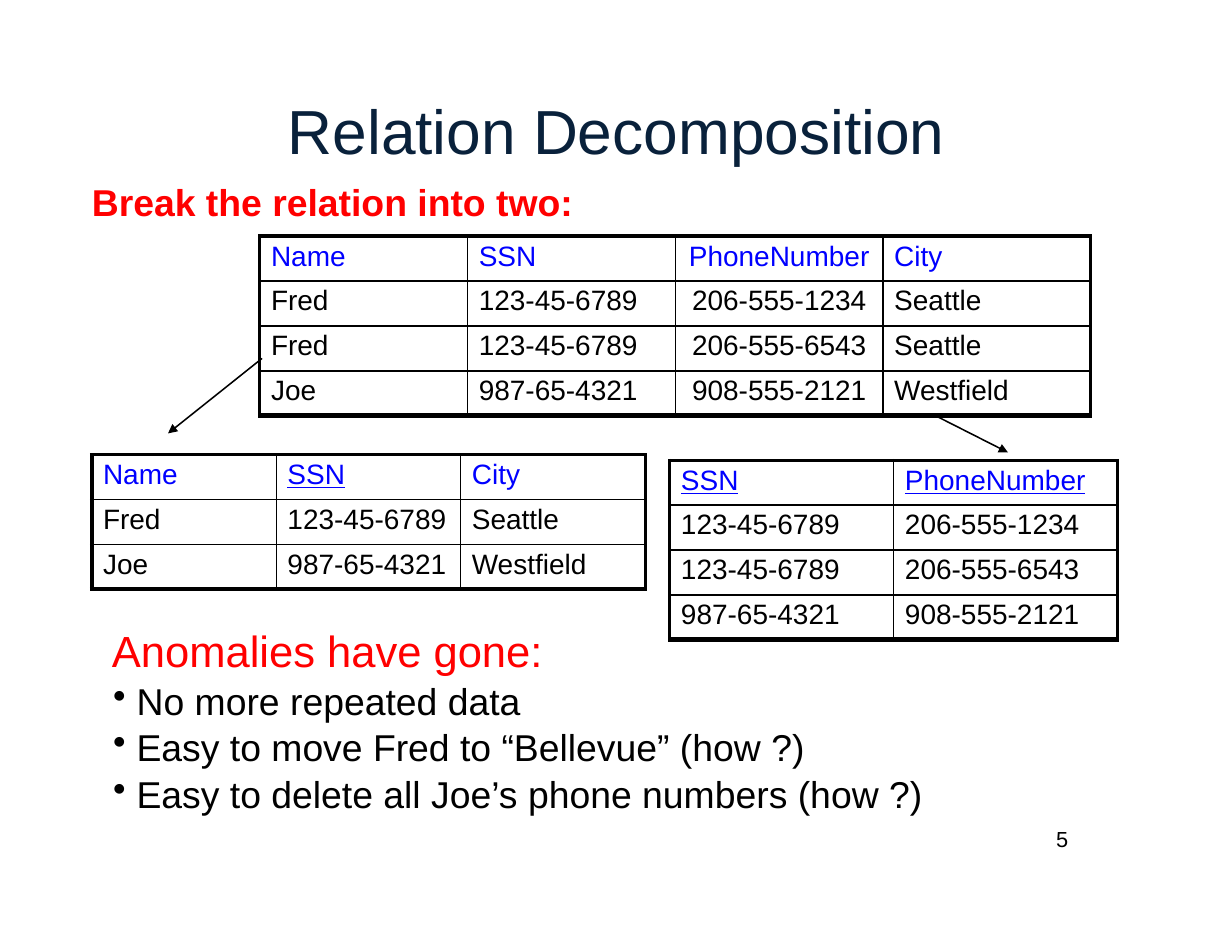
from dataclasses import dataclass

from lxml import etree
from pptx import Presentation
from pptx.dml.color import RGBColor
from pptx.enum import shapes, text
from pptx.oxml import ns
from pptx.util import Inches, Pt


@dataclass(frozen=True)
class Theme:
    font: str = "Arial"
    navy: str = "09213B"
    red: str = "FF0000"
    blue: str = "0000FF"
    black: str = "000000"
    title: int = 40
    heading: int = 28
    body: int = 24
    cell: int = 18
    number: int = 14


theme = Theme()


def format_paragraph(paragraph, size, color, bold=False, underline=False):
    for run in paragraph.runs:
        run.font.name = theme.font
        run.font.size = Pt(size)
        run.font.color.rgb = RGBColor.from_string(color)
        run.font.bold = bold
        run.font.underline = underline


def add_text(left, top, width, height, top_inset, content):
    box = slide.shapes.add_textbox(Inches(left), Inches(top), Inches(width), Inches(height))
    frame = box.text_frame
    frame.word_wrap = True
    frame.margin_left = frame.margin_right = frame.margin_bottom = 0
    frame.margin_top = Inches(top_inset)
    frame.text = content
    return frame.paragraphs


presentation = Presentation()
presentation.slide_width = Inches(11)
presentation.slide_height = Inches(8.5)
slide = presentation.slides.add_slide(presentation.slide_layouts[6])

# Title and subtitle
title, subtitle = add_text(0.82, 0.56, 7.63, 1.39, 0.26,
                           "Relation Decomposition\nBreak the relation into two:")
title._p.get_or_add_pPr().set("marL", str(Inches(1.75)))
format_paragraph(title, theme.title, theme.navy)
subtitle.space_before = Pt(8.1)
format_paragraph(subtitle, theme.body, theme.red, bold=True)

# Relations: the two parts, then the whole.
# Line weights run left to right (vertical) and top to bottom (horizontal).
people = [["Name", "SSN", "PhoneNumber", "City"],
          ["Fred", "123-45-6789", "206-555-1234", "Seattle"],
          ["Fred", "123-45-6789", "206-555-6543", "Seattle"],
          ["Joe", "987-65-4321", "908-555-2121", "Westfield"]]
residents = [[people[row][column] for column in (0, 1, 3)] for row in (0, 1, 3)]
phones = [row[1:3] for row in people]
relations = [
    (residents, 0.82, 4.06, 4.94, ["SSN"], [3, 1, 1, 2.25], [2.25, 1, 1, 3]),
    (phones, 5.98, 4.11, 4, ["SSN", "PhoneNumber"], [2.25, 1, 2.25], [2.25, 1, 1, 1.5, 3]),
    (people, 2.32, 2.11, 7.42, [], [2.25, 1, 1, 1, 2.25], [3, 1.5, 1.5, 1.5, 3]),
]
row_height = 0.4
for rows, left, top, width, keys, vertical, horizontal in relations:
    table = slide.shapes.add_table(
        len(rows), len(rows[0]), Inches(left), Inches(top),
        Inches(width), Inches(row_height * len(rows))).table
    table.first_row = table.horz_banding = False
    for r, row in enumerate(rows):
        for c, value in enumerate(row):
            cell = table.cell(r, c)
            cell.margin_left = cell.margin_right = cell.margin_bottom = 0
            cell.margin_top = Inches(0.04)
            cell.text_frame.text = value
            paragraph = cell.text_frame.paragraphs[0]
            if rows is people and c == 2:
                paragraph.alignment = text.PP_ALIGN.CENTER
            else:
                paragraph._p.get_or_add_pPr().set("marL", str(Inches(0.1)))
            format_paragraph(paragraph, theme.cell, theme.black if r else theme.blue,
                             underline=r == 0 and value in keys)
            properties = cell._tc.get_or_add_tcPr()
            weights = {"lnL": vertical[c], "lnR": vertical[c + 1],
                       "lnT": horizontal[r], "lnB": horizontal[r + 1]}
            for side, weight in weights.items():
                line = etree.SubElement(properties, ns.qn(f"a:{side}"), w=str(Pt(weight)))
                fill = etree.SubElement(line, ns.qn("a:solidFill"))
                etree.SubElement(fill, ns.qn("a:srgbClr"), val=theme.black)
            cell.fill.background()

# Conclusions
heading, *points = add_text(
    1, 5.53, 7.26, 1.7, 0.04,
    "Anomalies have gone:\nNo more repeated data\n"
    "Easy to move Fred to “Bellevue” (how ?)\n"
    "Easy to delete all Joe’s phone numbers (how ?)")
format_paragraph(heading, theme.heading, theme.red)
for point in points:
    point.space_before = Pt(1.1)
    properties = point._p.get_or_add_pPr()
    properties.set("marL", str(Inches(0.22)))
    properties.set("indent", str(Inches(-0.21)))
    etree.SubElement(properties, ns.qn("a:buChar"), char="•")
    format_paragraph(point, theme.body, theme.black)

# Arrows from the whole relation to its parts
for ends in [(2.34, 3.2, 1.5, 3.87), (8.33, 3.7, 9, 4.04)]:
    arrow = slide.shapes.add_connector(shapes.MSO_CONNECTOR.STRAIGHT, *map(Inches, ends))
    arrow.line.color.rgb = RGBColor.from_string(theme.black)
    arrow.line.width = Pt(1)
    etree.SubElement(arrow.line._get_or_add_ln(), ns.qn("a:tailEnd"),
                     type="triangle", w="med", len="med")
    etree.SubElement(arrow._element.spPr, ns.qn("a:effectLst"))

# Page number
number = add_text(9.39, 7.38, 0.3, 0.25, 0, "5")[0]
number._p.get_or_add_pPr().set("marL", str(Inches(0.04)))
number.line_spacing = Pt(16.4)
format_paragraph(number, theme.number, theme.black)

presentation.save("out.pptx")
